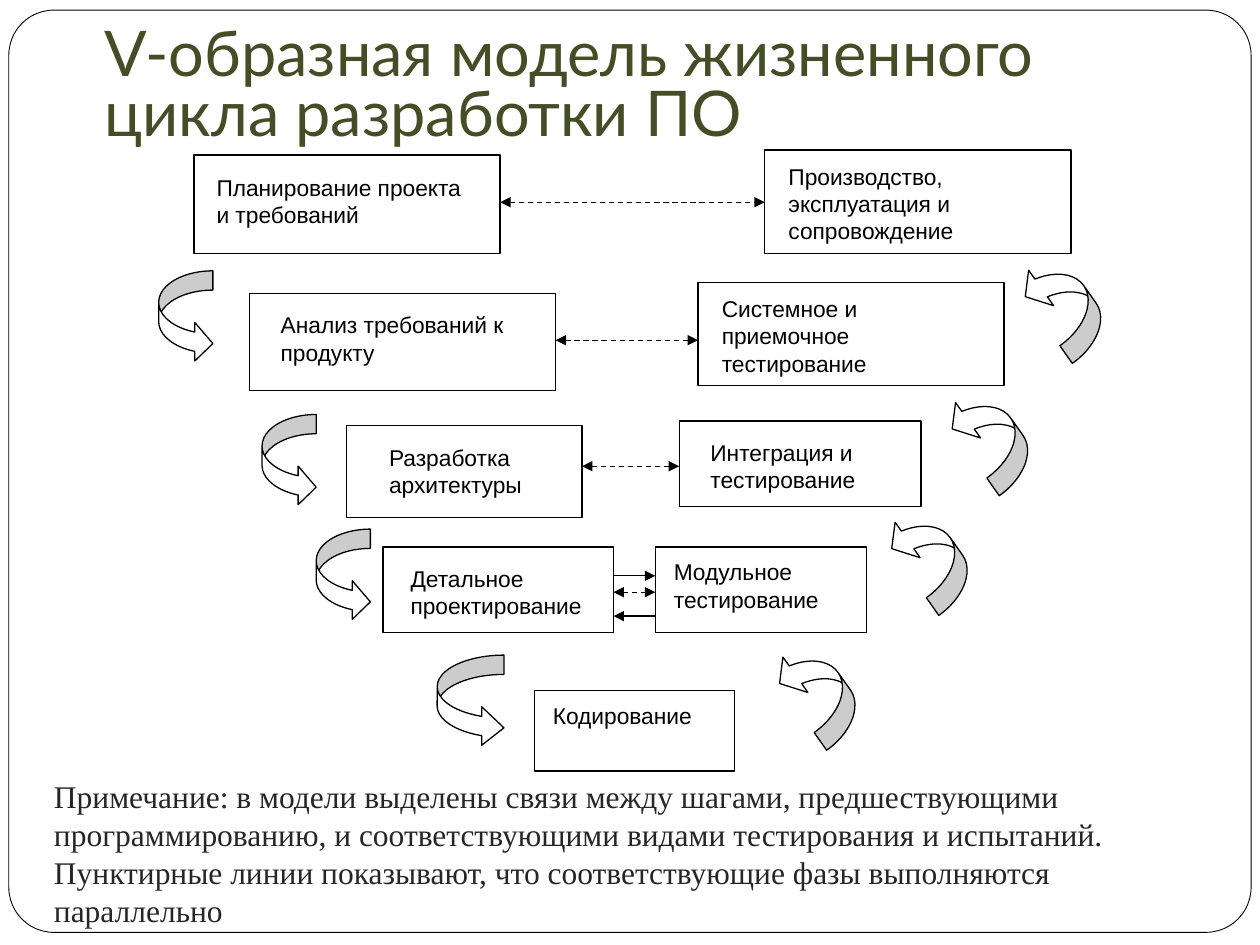
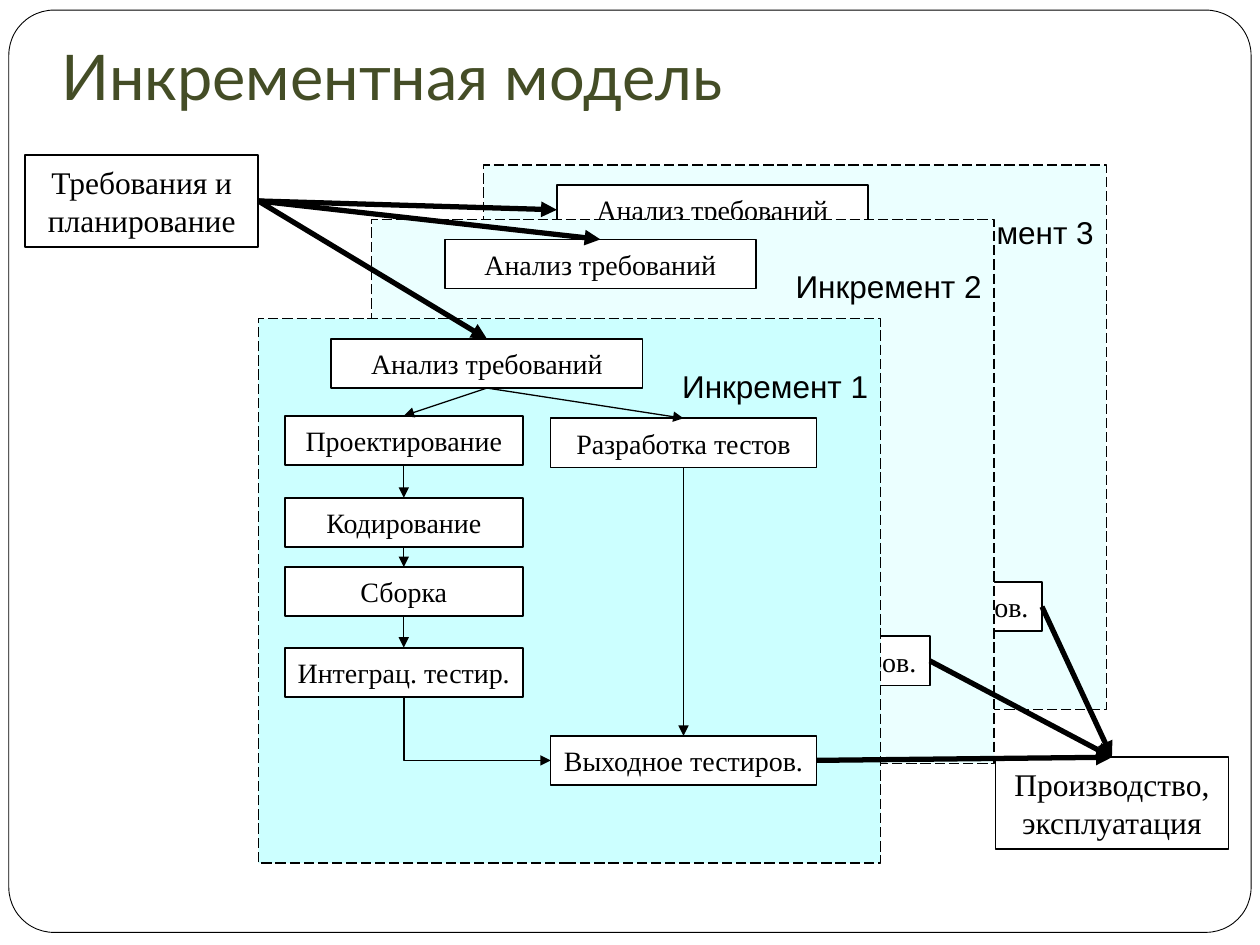
from dataclasses import dataclass

from lxml.etree import SubElement
from pptx import Presentation
from pptx.dml.color import RGBColor
from pptx.enum.dml import MSO_LINE
from pptx.enum.shapes import MSO_CONNECTOR as Connector, MSO_SHAPE as Shape
from pptx.enum.text import MSO_ANCHOR as Anchor, MSO_AUTO_SIZE as AutoSize, PP_ALIGN as Align
from pptx.oxml.ns import qn
from pptx.util import Inches, Pt


@dataclass(frozen=True)
class Theme:
    ink: str = "000000"
    paper: str = "FFFFFF"
    title: str = "444D26"
    note: str = "262626"
    current: str = "CCFFFF"
    later: str = "EBFFFF"
    title_font: str = "Lato"
    label_font: str = "Arial"
    body_font: str = "Times New Roman"
    title_size: float = 36
    large: float = 18
    medium: float = 16
    small: float = 13
    hairline: float = 0.5
    thin: float = 0.75
    outline: float = 1
    thick: float = 3


THEME = Theme()

# The slide is a grid of 100 columns by 75 rows
COLUMNS, ROWS = 100, 75
CELL = Inches(0.1)
TOP, LEFT, BOTTOM, RIGHT = "top", "left", "bottom", "right"


def grid(*cells):
    return [round(cell * CELL) for cell in cells]


def color(value):
    return RGBColor.from_string(value)


# Basic elements
def add_box(slide, area, kind=Shape.RECTANGLE, fill=THEME.paper, width=THEME.thin, dash=None):
    shape = slide.shapes.add_shape(kind, *grid(*area))
    shape.shadow.inherit = False
    shape.fill.solid()
    shape.fill.fore_color.rgb = color(fill)
    if width:
        shape.line.color.rgb = color(THEME.ink)
        shape.line.width = Pt(width)
        shape.line.dash_style = dash
    else:
        shape.line.fill.background()
    return shape


def write(shape, text, font, size, ink=THEME.ink, align=Align.LEFT, anchor=Anchor.TOP, wrap=True):
    frame = shape.text_frame
    frame.text = text
    frame.word_wrap = wrap
    frame.vertical_anchor = anchor
    for paragraph in frame.paragraphs:
        paragraph.alignment = align
        paragraph.font.name = font
        paragraph.font.size = Pt(size)
        paragraph.font.color.rgb = color(ink)
    return frame


def add_title(slide, text, area, line_spacing=1.0):
    title = slide.shapes.title
    title.left, title.top, title.width, title.height = grid(*area)
    frame = write(title, text, THEME.title_font, THEME.title_size, THEME.title, anchor=Anchor.BOTTOM)
    frame.auto_size = AutoSize.NONE
    frame.margin_bottom = Inches(0.1)
    frame.paragraphs[0].line_spacing = line_spacing


def add_arrow(slide, start, end, width=THEME.thin, dash=None, ends=("tailEnd",),
              kind=Connector.STRAIGHT):
    connector = slide.shapes.add_connector(kind, *start, *end)
    connector.line.color.rgb = color(THEME.ink)
    connector.line.width = Pt(width)
    connector.line.dash_style = dash
    properties = connector.element.spPr
    for end_name in ends:
        SubElement(properties.find(qn("a:ln")), qn(f"a:{end_name}"), type="triangle")
    SubElement(properties, qn("a:effectLst"))
    return connector


def add_corner_arrow(slide, start, end):
    """Arrow that goes down, then right: a turned and mirrored one-bend connector."""
    across, down = end[0] - start[0], end[1] - start[1]
    middle_x, middle_y = start[0] + across // 2, start[1] + down // 2
    arrow = add_arrow(slide, (middle_x + down // 2, middle_y - across // 2),
                      (middle_x - down // 2, middle_y + across // 2), kind=Connector.ELBOW)
    properties = arrow.element.spPr
    properties.find(qn("a:xfrm")).set("rot", str(270 * 60000))
    properties.find(qn("a:prstGeom")).set("prst", "bentConnector2")


def port(shape, side):
    x = {LEFT: 0, RIGHT: shape.width}.get(side, shape.width // 2)
    y = {TOP: 0, BOTTOM: shape.height}.get(side, shape.height // 2)
    return shape.left + x, shape.top + y


def add_page_frame(slide):
    """Draw the rounded frame once and hand it to the shared layout."""
    frame = add_box(slide, (0.7, 0.8, 98.6, 73.2), Shape.ROUNDED_RECTANGLE, width=THEME.hairline)
    frame.adjustments[0] = 0.049
    slide.slide_layout.shapes.element.insert(2, frame.element)


# V-model
def add_phase(slide, area, label_area, text):
    box = add_box(slide, area)
    label = add_box(slide, label_area, width=None)
    write(label, text, THEME.label_font, THEME.small)
    return box


def add_phase_link(slide, left_box, right_box, row, **style):
    y, = grid(row)
    add_arrow(slide, (left_box.left + left_box.width, y), (right_box.left, y), **style)


def add_curved_arrow(slide, kind, area, adjustments, rotation=0):
    arrow = add_box(slide, area, kind)
    arrow.rotation = rotation
    for index, value in enumerate(adjustments):
        arrow.adjustments[index] = value


def build_v_model(slide):
    add_title(slide, "V-образная модель жизненного цикла разработки ПО",
              (7.3, 1.9, 85, 10.9), line_spacing=0.8)

    # Each level: box, label and text on the left and right, then the row of the link
    levels = [
        ((15.4, 12.3, 24.3, 7.8), (16.2, 13.3, 22.2, 6.1), "Планирование проекта и требований",
         (60.7, 11.9, 24.3, 8.2), (61.6, 12.4, 21.6, 6.8),
         "Производство, эксплуатация и сопровождение", 16.05),
        ((19.8, 23.3, 24.3, 7.7), (21.3, 24.2, 20.7, 5), "Анализ требований к продукту",
         (55.4, 22.4, 24.3, 8.2), (56.3, 22.9, 22.1, 6.8),
         "Системное и приемочное тестирование", 27),
        ((27.5, 33.8, 18.7, 7.3), (29.9, 34.7, 13, 5), "Разработка архитектуры",
         (53.9, 33.4, 19.2, 6.8), (55.4, 34.3, 14.9, 5), "Интеграция и тестирование", 37),
        ((30.4, 43.4, 18.3, 6.8), (31.6, 44.3, 16.1, 5), "Детальное проектирование",
         (52, 43.4, 16.8, 6.8), (52.5, 43.8, 13.9, 5), "Модульное тестирование", 47),
    ]
    for *phases, row in levels:
        left_box, right_box = add_phase(slide, *phases[:3]), add_phase(slide, *phases[3:])
        add_phase_link(slide, left_box, right_box, row, dash=MSO_LINE.DASH,
                       ends=("headEnd", "tailEnd"))
    add_phase_link(slide, left_box, right_box, 45.7)
    add_phase_link(slide, left_box, right_box, 48.9, ends=("headEnd",))
    add_phase(slide, (42.4, 54.8, 15.9, 6.4), (42.9, 55.2, 14.6, 5), "Кодирование")

    # Curved arrows: down the left arm, up the right arm
    for left, top, width in ((12.6, 21.5, 4.3), (20.8, 32.9, 4.3), (25.1, 42, 4.3), (34.7, 52, 5.3)):
        thickness = 1.53 / width
        add_curved_arrow(slide, Shape.CURVED_RIGHT_ARROW, (left, top, width, 7.3),
                         (thickness, 2 * thickness, 0.333))
    for left, top in ((60.9, 52.8), (69.8, 42.1), (74.6, 32.6), (80.4, 22.1)):
        add_curved_arrow(slide, Shape.CURVED_UP_ARROW, (left, top, 8.2, 4.3),
                         (0.4, 0.8, 0.333), rotation=234.8)

    note = slide.shapes.add_textbox(*grid(3.3, 61.2, 92.5, 13.1))
    write(note, "Примечание: в модели выделены связи между шагами, предшествующими "
          "программированию, и соответствующими видами тестирования и испытаний. "
          "Пунктирные линии показывают, что соответствующие фазы выполняются параллельно",
          THEME.body_font, THEME.large, THEME.note)


# Incremental model
def add_stage(slide, area, text, size=THEME.medium):
    box = add_box(slide, area, width=THEME.outline)
    write(box, text, THEME.body_font, size, align=Align.CENTER, anchor=Anchor.MIDDLE, wrap=False)
    return box


def add_increment(slide, number, left, top, fill):
    """Draw a panel with its first and last stage, and return these two."""
    panel = add_box(slide, (left, top, 49.4, 43.2), fill=fill, dash=MSO_LINE.LONG_DASH)
    frame = write(panel, f"Инкремент {number}", THEME.label_font, THEME.large, align=Align.RIGHT)
    frame.margin_top = Inches(0.38)
    analysis = add_stage(slide, (left + 5.8, top + 1.6, 24.7, 3.9), "Анализ требований")
    release_test = add_stage(slide, (left + 23.2, top + 33.1, 21.1, 3.9), "Выходное тестиров.")
    return analysis, release_test


def add_inner_stages(slide, left, top, analysis, release_test):
    steps = (("Проектирование", 7.7), ("Кодирование", 14.2),
             ("Сборка", 19.7), ("Интеграц. тестир.", 26.1))
    previous = analysis
    for text, offset in steps:
        step = add_stage(slide, (left + 2.1, top + offset, 18.9, 3.9), text)
        add_arrow(slide, port(previous, BOTTOM), port(step, TOP))
        previous = step
    add_corner_arrow(slide, port(previous, BOTTOM), port(release_test, LEFT))

    test_design = add_stage(slide, (left + 23.2, top + 7.9, 21.1, 3.9), "Разработка тестов")
    add_arrow(slide, port(analysis, BOTTOM), port(test_design, TOP))
    add_arrow(slide, port(test_design, BOTTOM), port(release_test, TOP))


def build_incremental_model(slide):
    add_title(slide, "Инкрементная модель", (3.9, 2.5, 82.5, 7.5))
    third = add_increment(slide, 3, 38.4, 13.1, THEME.later)
    second = add_increment(slide, 2, 29.5, 17.4, THEME.later)
    planning = add_stage(slide, (2, 12.3, 18.5, 7.3), "Требования и\nпланирование", THEME.large)
    production = add_stage(slide, (79, 60.1, 18.5, 7.3), "Производство,\nэксплуатация", THEME.large)
    first = add_increment(slide, 1, 20.5, 25.3, THEME.current)
    add_inner_stages(slide, 20.5, 25.3, *first)

    # Every increment starts from planning and ends in production
    for (analysis, release_test), entry in ((first, TOP), (second, TOP), (third, LEFT)):
        add_arrow(slide, port(planning, RIGHT), port(analysis, entry), THEME.thick)
        add_arrow(slide, port(release_test, RIGHT), port(production, TOP), THEME.thick)


def main():
    presentation = Presentation()
    presentation.slide_width, presentation.slide_height = grid(COLUMNS, ROWS)
    layout = presentation.slide_layouts.get_by_name("Title Only")
    v_model, incremental = [presentation.slides.add_slide(layout) for _ in range(2)]
    add_page_frame(v_model)
    build_v_model(v_model)
    build_incremental_model(incremental)
    presentation.save("out.pptx")


if __name__ == "__main__":
    main()
